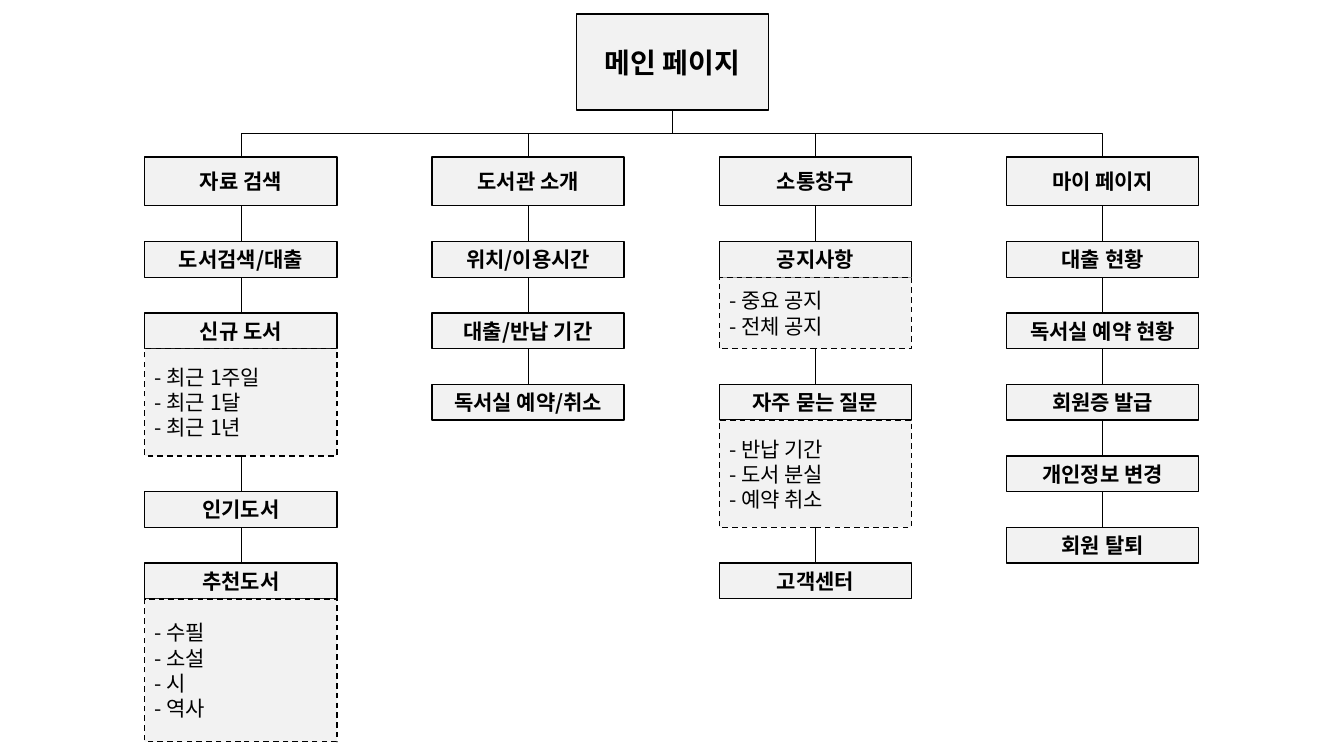
import pptx
import pptx.util
import pptx.dml.color
import pptx.enum.dml
import pptx.enum.shapes
import pptx.enum.text
import pptx.oxml
import pptx.oxml.ns
from lxml import etree

Cm, Pt = pptx.util.Cm, pptx.util.Pt
Align = pptx.enum.text.PP_ALIGN
Link = pptx.enum.shapes.MSO_CONNECTOR
qn = pptx.oxml.ns.qn


class Chart:
    font = "Noto Sans CJK KR"
    hues = {"ink": "000000", "box": "F2F2F2"}

    def __init__(self, slide):
        self.slide = slide

    def hue(self, name):
        return pptx.dml.color.RGBColor.from_string(self.hues[name])

    def box(self, x, y, w, h, rows, size=15, sub=False):
        shape = self.slide.shapes.add_shape(
            pptx.enum.shapes.MSO_SHAPE.RECTANGLE, Cm(x), Cm(y), Cm(w), Cm(h))
        shape.shadow.inherit = False
        shape.fill.solid()
        shape.fill.fore_color.rgb = self.hue("box")
        shape.line.color.rgb = self.hue("ink")
        shape.line.width = Pt(1)
        if sub:
            shape.line.dash_style = pptx.enum.dml.MSO_LINE.DASH
        frame = shape.text_frame
        frame.vertical_anchor = pptx.enum.text.MSO_ANCHOR.MIDDLE
        frame.text = "\n".join(rows)
        for para in frame.paragraphs:
            para.alignment = Align.LEFT if sub else Align.CENTER
            font = para.font
            font.name, font.size, font.bold = self.font, Pt(size), not sub
            font.color.rgb = self.hue("ink")
            etree.SubElement(font._element, qn("a:ea")).set("typeface", self.font)
        return shape

    def line(self, x1, y1, x2, y2, kind=Link.STRAIGHT):
        line = self.slide.shapes.add_connector(
            kind, Cm(x1), Cm(y1), Cm(x2), Cm(y2))
        line.line.color.rgb = self.hue("ink")
        line.line.width = Pt(0.5)
        etree.SubElement(line._element.spPr, qn("a:effectLst"))
        return line

    def elbow(self, top, low):
        """Join bottom of top to top of low, leaving downwards."""
        line = self.line(0, 0, 1, 1, Link.ELBOW)
        line.begin_connect(top, 2)
        line.end_connect(low, 0)
        x1, y1 = top.left + top.width // 2, top.top + top.height
        x2, y2 = low.left + low.width // 2, low.top
        wide, high = abs(x2 - x1), y2 - y1
        # The frame is turned a quarter about its centre
        line.left = (x1 + x2 - high) // 2
        line.top = (y1 + y2 - wide) // 2
        line.width, line.height = high, wide
        right = x2 > x1
        frame = line._element.spPr.xfrm
        frame.rot = 270 if right else 90
        frame.flipH, frame.flipV = right, False


# Sitemap: heading, then pages with their sub-items
tree = [
    ("자료 검색", [
        ("도서검색/대출", []),
        ("신규 도서", ["최근 1주일", "최근 1달", "최근 1년"]),
        ("인기도서", []),
        ("추천도서", ["수필", "소설", "시", "역사"])]),
    ("도서관 소개", [
        ("위치/이용시간", []),
        ("대출/반납 기간", []),
        ("독서실 예약/취소", [])]),
    ("소통창구", [
        ("공지사항", ["중요 공지", "전체 공지"]),
        ("자주 묻는 질문", ["반납 기간", "도서 분실", "예약 취소"]),
        ("고객센터", [])]),
    ("마이 페이지", [
        ("대출 현황", []),
        ("독서실 예약 현황", []),
        ("회원증 발급", []),
        ("개인정보 변경", []),
        ("회원 탈퇴", [])]),
]

# Grid in cm; unit is the height of a page, a sub-item and a gap
left, pitch, wide, unit = 3.65, 7.24, 4.84, 0.9
head_y, head_h, page_y = 3.96, 1.22, 6.09

deck = pptx.Presentation()
deck.slide_width, deck.slide_height = Cm(33.87), Cm(19.05)
chart = Chart(deck.slides.add_slide(deck.slide_layouts[6]))

# Spines, behind the boxes
for col, (head, pages) in enumerate(tree):
    mid = left + col * pitch + wide / 2
    end = page_y + unit * sum(2 + len(subs) for name, subs in pages[:-1])
    chart.line(mid, head_y + head_h, mid, end)

# Main page
root = chart.box(14.53, 0.35, wide, 2.42, ["메인 페이지"], 20)

# Columns
for col, (head, pages) in enumerate(tree):
    x, y = left + col * pitch, page_y
    chart.elbow(root, chart.box(x, head_y, wide, head_h, [head]))
    for name, subs in pages:
        chart.box(x, y, wide, unit, [name])
        if subs:
            chart.box(x, y + unit, wide, unit * len(subs),
                      ["- " + sub for sub in subs], sub=True)
        y += unit * (2 + len(subs))

deck.save("out.pptx")
